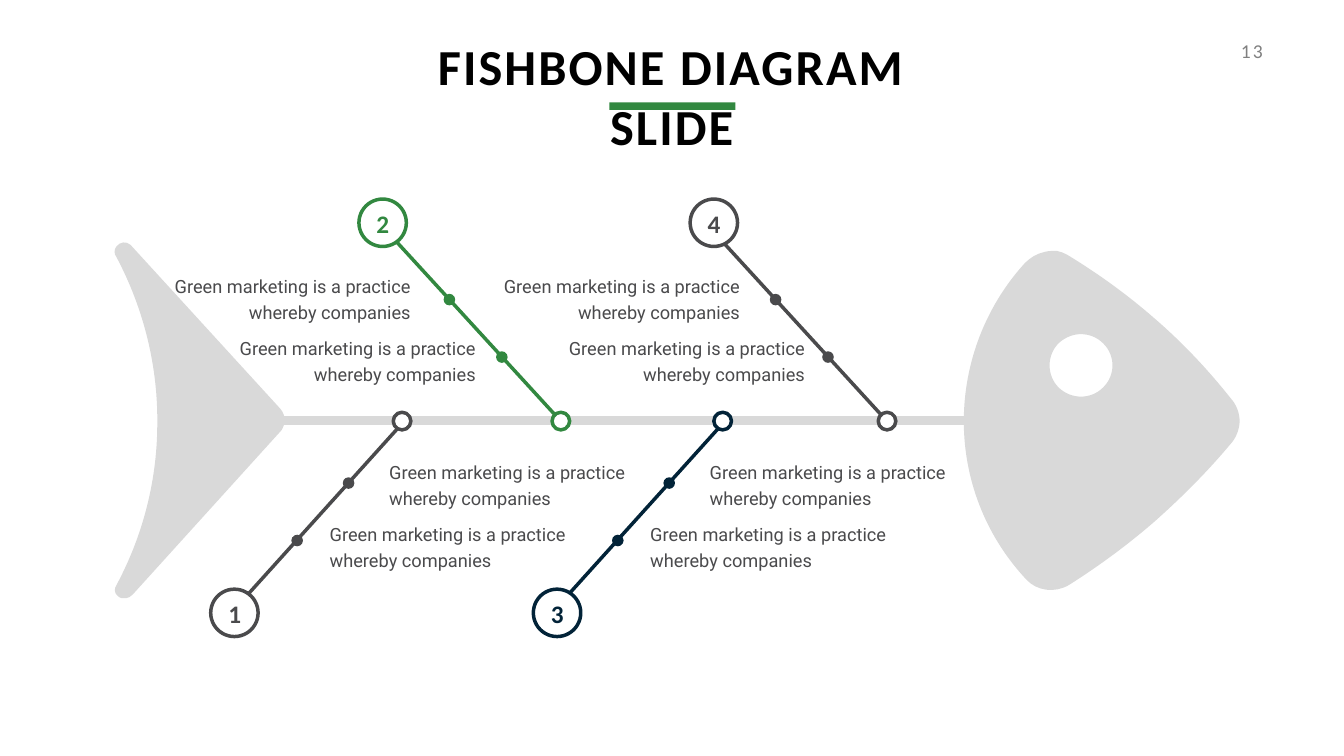
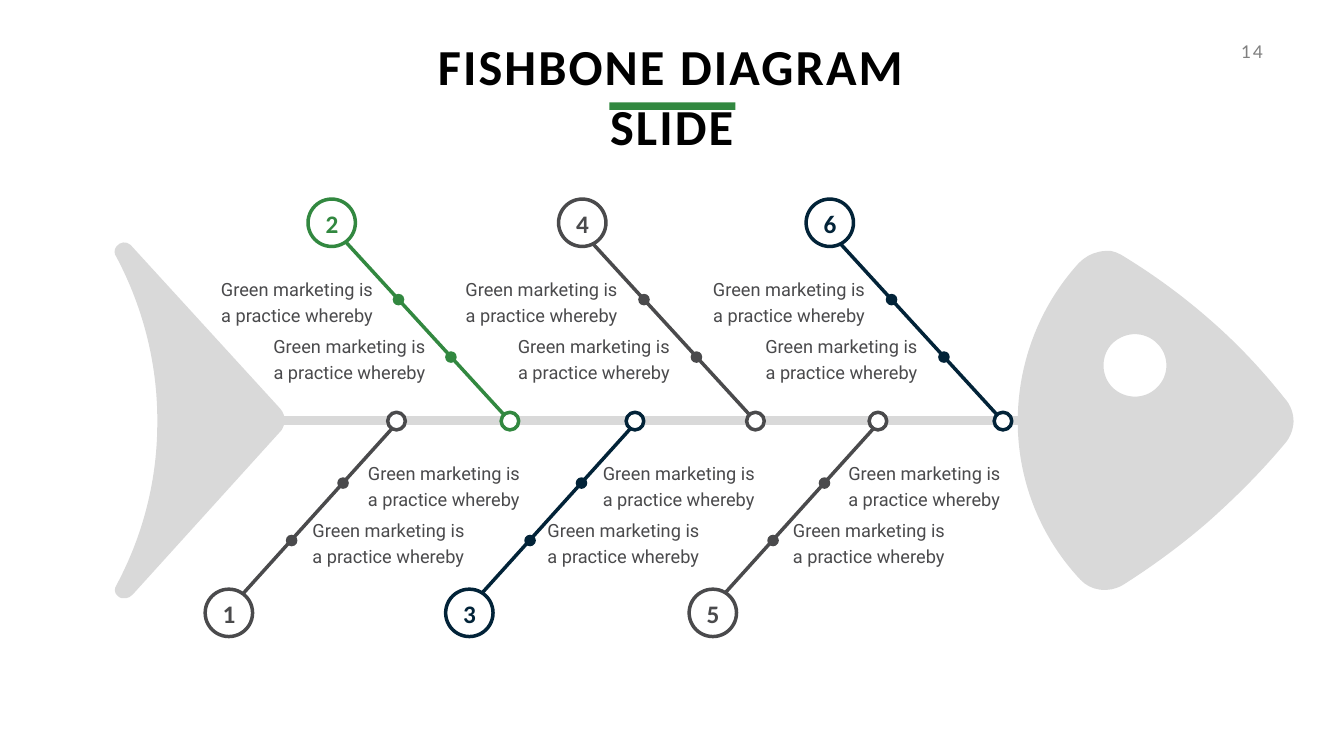
from lxml.etree import SubElement
from pptx import Presentation
from pptx.dml.color import RGBColor
from pptx.enum.shapes import MSO_CONNECTOR, MSO_SHAPE
from pptx.enum.text import MSO_ANCHOR, MSO_AUTO_SIZE, PP_ALIGN
from pptx.oxml.ns import qn
from pptx.util import Pt

PX = 9144
HUES = {"green": "328840", "gray": "4A4A4C", "navy": "022338", "bone": "D9D9D9",
        "white": "FFFFFF", "black": "000000", "pale": "808080"}
LOOKS = {
    "title": {"name": "Calibri", "size": Pt(72), "bold": True},
    "page": {"name": "Calibri", "size": Pt(28), "bold": False},
    "badge": {"name": "Calibri", "size": Pt(36), "bold": True},
    "note": {"name": "Roboto", "size": Pt(26), "bold": False},
}
FRAMES = {
    "title": {"word_wrap": True, "vertical_anchor": MSO_ANCHOR.TOP},
    "page": {"word_wrap": True, "vertical_anchor": MSO_ANCHOR.TOP},
    "badge": {"word_wrap": False, "vertical_anchor": MSO_ANCHOR.MIDDLE},
    "note": {"word_wrap": True, "vertical_anchor": MSO_ANCHOR.MIDDLE},
}

HEAD = [
    (2085, 498), (2080, 498, 2076, 499, 2072, 500), (2057, 503, 2044, 511, 2033, 522),
    (1952, 611, 1909, 728, 1912, 848), (1915, 961, 1959, 1068, 2036, 1150),
    (2046, 1161, 2060, 1168, 2075, 1170), (2091, 1172, 2106, 1169, 2120, 1161),
    (2180, 1123, 2237, 1081, 2290, 1035), (2344, 987, 2395, 936, 2441, 881),
    (2452, 869, 2458, 853, 2459, 837), (2459, 820, 2453, 803, 2441, 790),
    (2395, 732, 2344, 678, 2288, 630), (2234, 583, 2177, 542, 2116, 505),
    (2110, 502, 2103, 499, 2097, 498), (2093, 498, 2089, 498, 2085, 498),
]
EYE = [
    (2144, 663), (2160, 663, 2176, 669, 2188, 681), (2213, 705, 2213, 745, 2188, 769),
    (2164, 793, 2125, 793, 2100, 769), (2076, 745, 2076, 705, 2100, 681),
    (2113, 669, 2129, 663, 2144, 663),
]
TAIL = [
    (231, 510), (226, 504, 226, 495, 231, 489), (238, 480, 250, 478, 259, 486),
    (556, 811), (562, 818, 565, 827, 565, 835), (564, 842, 562, 848, 559, 853),
    (263, 1180), (259, 1184, 255, 1186, 250, 1187), (244, 1188, 238, 1187, 233, 1182),
    (227, 1177, 226, 1168, 231, 1161), (283, 1064, 311, 956, 312, 846),
    (314, 729, 286, 614, 231, 510),
]

PAGES = [
    {"page": "13", "shift": 0, "spine": 2016, "wide": 491, "note": "Green marketing is a practice whereby companies",
     "tops": {"up": (534, 657), "down": (903, 1026)}, "step": {"up": 129, "down": -118},
     "ribs": [("gray", 797, 418, 762), ("green", 1110, 712, 334),
              ("navy", 1433, 1058, 1398), ("gray", 1757, 1369, 987)]},
    {"page": "14", "shift": 107, "spine": 2065, "wide": 343, "note": "Green marketing is a practice whereby",
     "tops": {"up": (540, 653), "down": (906, 1019)}, "step": {"up": 104, "down": -110},
     "ribs": [("gray", 786, 407, 720), ("green", 1009, 611, 407),
              ("navy", 1259, 884, 1186), ("gray", 1496, 1108, 892),
              ("gray", 1741, 1367, 1673), ("navy", 1987, 1599, 1383)]},
]
SIDES = {
    "up": {"root": 833, "end": (-325, 478), "dots": ((-230, 583), (-126, 697)),
           "badge": 395, "label": 407, "joint": -15, "align": PP_ALIGN.RIGHT},
    "down": {"root": 841, "end": (-313, 1188), "dots": ((-117, 947), (-219, 1061)),
             "badge": 1169, "label": 1182, "joint": -17, "align": PP_ALIGN.LEFT},
}


def write(box, words, look, hue, align):
    frame = box.text_frame
    frame.auto_size = MSO_AUTO_SIZE.NONE
    for key, value in FRAMES[look].items():
        setattr(frame, key, value)
    para = frame.paragraphs[0]
    para.alignment = align
    run = para.add_run()
    run.text = words
    for key, value in LOOKS[look].items():
        setattr(run.font, key, value)
    run.font.color.rgb = RGBColor.from_string(HUES[hue])
    if look in ("title", "page"):
        run._r.get_or_add_rPr().set("spc", "300")
    if look == "note":
        para.line_spacing = Pt(37)


def paint(shape, fill, edge=None):
    shape.shadow.inherit = False
    shape.fill.solid()
    shape.fill.fore_color.rgb = RGBColor.from_string(HUES[fill])
    if edge:
        shape.line.color.rgb = RGBColor.from_string(HUES[edge])
        shape.line.width = Pt(5)
    else:
        shape.line.fill.background()


prs = Presentation()
prs.slide_width, prs.slide_height = 2666 * PX, 1500 * PX

for plan in PAGES:
    slide = prs.slides.add_slide(prs.slide_layouts[5])
    shapes = slide.shapes
    title = shapes.title
    for key, value in {"left": 736, "top": 64, "width": 1193, "height": 131}.items():
        setattr(title, key, value * PX)
    write(title, "FISHBONE DIAGRAM SLIDE", "title", "black", PP_ALIGN.CENTER)
    box = shapes.add_textbox(2431 * PX, 72 * PX, 84 * PX, 57 * PX)
    write(box, plan["page"], "page", "pale", PP_ALIGN.RIGHT)

    for rings, shift in (((HEAD, EYE), plan["shift"]), ((TAIL,), 0)):
        form = None
        for ring in rings:
            dots = [((x + shift) * PX, y * PX) for part in ring for x, y in zip(part[::2], part[1::2])]
            if form:
                form.move_to(*dots[0])
            else:
                form = shapes.build_freeform(*dots[0], scale=1.0)
            form.add_line_segments(dots[1:], close=True)
        body = form.convert_to_shape()
        steps = iter(list(body._element.iter(qn("a:lnTo"))))
        for part in [part for ring in rings for part in ring[1:]]:
            step = next(steps)
            if len(part) == 6:
                trail = step.getparent()
                curve = SubElement(trail, qn("a:cubicBezTo"))
                step.addprevious(curve)
                for old in (step, next(steps), next(steps)):
                    curve.append(old[0])
                    trail.remove(old)
        paint(body, "bone")

    lines = [(536, 834, plan["spine"], 834, "bone", 13)]
    for i, (hue, tip, _, _) in enumerate(plan["ribs"]):
        side = SIDES["up" if i % 2 else "down"]
        dx, end = side["end"]
        lines.append((tip, side["root"], tip + dx, end, hue, 5))
    for x1, y1, x2, y2, hue, width in lines:
        line = shapes.add_connector(MSO_CONNECTOR.STRAIGHT, x1 * PX, y1 * PX, x2 * PX, y2 * PX)
        line.line.color.rgb = RGBColor.from_string(HUES[hue])
        line.line.width = Pt(width)
        SubElement(line._element.spPr, qn("a:effectLst"))

    for i, (hue, tip, left, first) in enumerate(plan["ribs"]):
        way = "up" if i % 2 else "down"
        side = SIDES[way]
        discs = [(tip + side["joint"], 818, 35, "white", hue), (left, side["badge"], 94, "white", hue)]
        discs += [(tip + dx, y, 23, hue, None) for dx, y in side["dots"]]
        for x, y, size, fill, edge in discs:
            disc = shapes.add_shape(MSO_SHAPE.OVAL, x * PX, y * PX, size * PX, size * PX)
            paint(disc, fill, edge)
        box = shapes.add_textbox((left + 24) * PX, side["label"] * PX, 47 * PX, 71 * PX)
        write(box, str(i + 1), "badge", hue, PP_ALIGN.CENTER)
        for k, top in enumerate(plan["tops"][way]):
            x = first + k * plan["step"][way]
            box = shapes.add_textbox(x * PX, top * PX, plan["wide"] * PX, 110 * PX)
            write(box, plan["note"], "note", "gray", side["align"])

    bar = shapes.add_shape(MSO_SHAPE.RECTANGLE, 1209 * PX, 203 * PX, 250 * PX, 15 * PX)
    paint(bar, "green")

prs.save("out.pptx")
